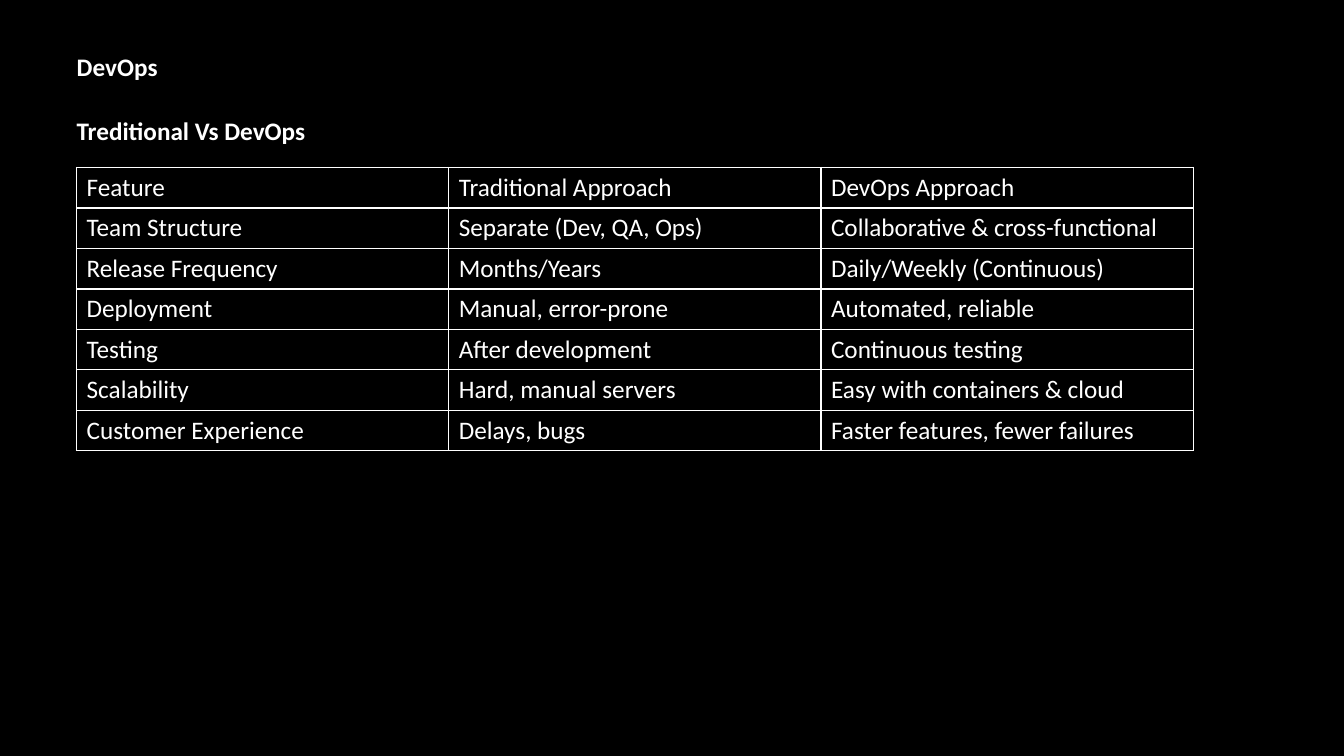
from dataclasses import dataclass

from lxml import etree
from pptx import Presentation
from pptx.dml.color import RGBColor
from pptx.enum.text import MSO_ANCHOR, MSO_AUTO_SIZE, PP_ALIGN
from pptx.oxml.ns import qn
from pptx.util import Cm, Pt

LEFT = PP_ALIGN.LEFT
TOP = MSO_ANCHOR.TOP
MIDDLE = MSO_ANCHOR.MIDDLE
FIT_SHAPE = MSO_AUTO_SIZE.SHAPE_TO_FIT_TEXT
TITLE_ONLY_LAYOUT = 5


@dataclass(frozen=True)
class Theme:
    background: str = "000000"
    ink: str = "FFFFFF"
    font: str = "Calibri"
    text_size: int = 18
    border_width: int = 1


THEME = Theme()

COMPARISON = [
    ("Feature", "Traditional Approach", "DevOps Approach"),
    ("Team Structure", "Separate (Dev, QA, Ops)", "Collaborative & cross-functional"),
    ("Release Frequency", "Months/Years", "Daily/Weekly (Continuous)"),
    ("Deployment", "Manual, error-prone", "Automated, reliable"),
    ("Testing", "After development", "Continuous testing"),
    ("Scalability", "Hard, manual servers", "Easy with containers & cloud"),
    ("Customer Experience", "Delays, bugs", "Faster features, fewer failures"),
]


def write_text(frame, text, *, bold=False, anchor=TOP):
    frame.vertical_anchor = anchor
    para = frame.paragraphs[0]
    para.alignment = LEFT
    span = para.add_run()
    span.text = text
    span.font.name = THEME.font
    span.font.size = Pt(THEME.text_size)
    span.font.bold = bold
    span.font.color.rgb = RGBColor.from_string(THEME.ink)


def set_title(page, text, left, top, width, height):
    title = page.shapes.title
    title.left, title.top, title.width, title.height = left, top, width, height
    frame = title.text_frame
    frame.word_wrap = False
    frame.auto_size = FIT_SHAPE
    write_text(frame, text, bold=True)


def add_heading(page, text, left, top, width, height):
    box = page.shapes.add_textbox(left, top, width, height)
    frame = box.text_frame
    frame.word_wrap = True
    frame.auto_size = FIT_SHAPE
    write_text(frame, text, bold=True)


def add_borders(cell):
    properties = cell._tc.get_or_add_tcPr()
    for side in ("lnL", "lnR", "lnT", "lnB"):
        line = etree.SubElement(properties, qn(f"a:{side}"), w=str(Pt(THEME.border_width)))
        fill = etree.SubElement(line, qn("a:solidFill"))
        etree.SubElement(fill, qn("a:srgbClr"), val=THEME.ink)


def add_grid(page, rows, left, top, column_width, row_height):
    """Add an unfilled table with equal columns and rows and ruled cells."""
    row_count, column_count = len(rows), len(rows[0])
    table = page.shapes.add_table(
        row_count, column_count, left, top,
        column_width * column_count, row_height * row_count,
    ).table
    table.first_row = False
    table.horz_banding = False
    for row, texts in zip(table.rows, rows):
        for cell, text in zip(row.cells, texts):
            add_borders(cell)
            cell.fill.background()
            cell.vertical_anchor = MIDDLE
            write_text(cell.text_frame, text, anchor=None)


def main():
    deck = Presentation()
    deck.slide_width, deck.slide_height = Cm(33.87), Cm(19.05)
    page = deck.slides.add_slide(deck.slide_layouts[TITLE_ONLY_LAYOUT])
    page.background.fill.solid()
    page.background.fill.fore_color.rgb = RGBColor.from_string(THEME.background)

    set_title(page, "DevOps", Cm(1.68), Cm(1.17), Cm(2.57), Cm(1.8))
    add_heading(page, "Treditional Vs DevOps", Cm(1.68), Cm(2.77), Cm(16.94), Cm(1.02))
    add_grid(page, COMPARISON, Cm(1.93), Cm(4.22), Cm(9.38), Cm(1.02))

    deck.save("out.pptx")


if __name__ == "__main__":
    main()
